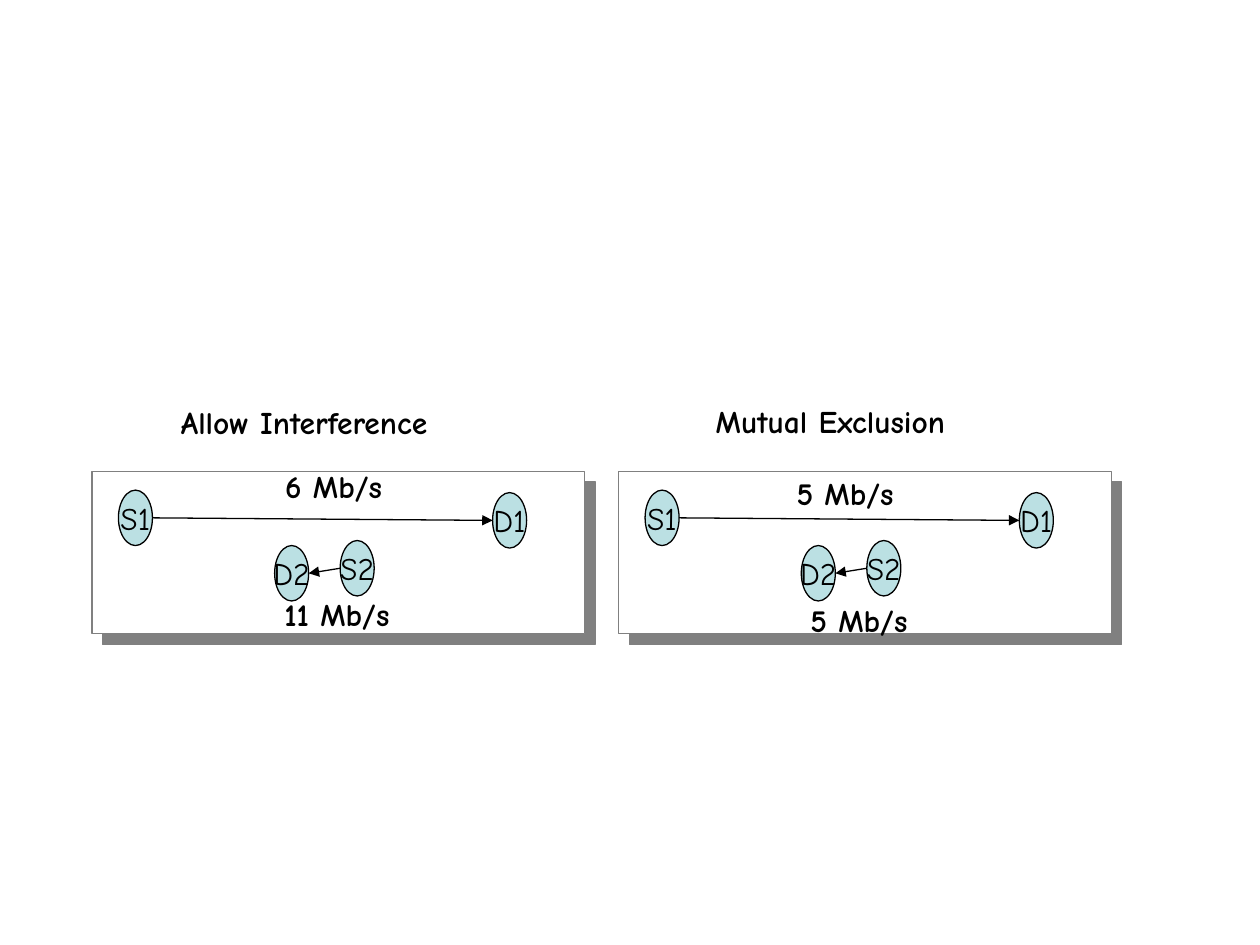
from lxml import etree
from pptx import Presentation
from pptx import util as u
from pptx.dml.color import RGBColor
from pptx.enum import shapes, text
from pptx.oxml import parse_xml
from pptx.oxml.ns import nsdecls, qn

COLORS = {"panel": "FFFFFF", "border": "808080", "node": "BBE0E3", "ink": "000000"}
FONT = "Comic Neue"
PANEL_X, PANEL_Y, PANEL_W, PANEL_H = 0.73, 3.74, 3.91, 1.29
PITCH = 4.18  # distance from one panel to the next
NODE_W, NODE_H = 0.27, 0.44

prs = Presentation()
prs.slide_width, prs.slide_height = u.Inches(10), u.Inches(7.5)
s = prs.slides.add_slide(prs.slide_layouts[6])


def add_box(parent, kind, x, y, w, h, fill, line):
    sp = parent.shapes.add_shape(kind, *map(u.Inches, (x, y, w, h)))
    sp.shadow.inherit = False
    sp.fill.solid()
    sp.fill.fore_color.rgb = RGBColor.from_string(COLORS[fill])
    sp.line.color.rgb = RGBColor.from_string(COLORS[line])
    sp.line.width = u.Pt(0.75)
    return sp


def write(sp, words, align, bold=False):
    tf = sp.text_frame
    tf.word_wrap = False
    p = tf.paragraphs[0]
    p.text = words
    p.alignment = align
    p.font.name, p.font.size, p.font.bold = FONT, u.Pt(18), bold
    p.font.color.rgb = RGBColor.from_string(COLORS["ink"])
    return tf


# Node offsets from the panel's corner, then the links between nodes
nodes = {"D2": (1.45, 0.59), "S1": (0.21, 0.15), "D1": (3.18, 0.17), "S2": (1.97, 0.55)}
links = [("S1", "D1"), ("S2", "D2")]

for panel in range(2):
    left = PANEL_X + panel * PITCH
    grp = s.shapes.add_group_shape()

    # Panel with a hard shadow
    sp = add_box(grp, shapes.MSO_SHAPE.RECTANGLE, left, PANEL_Y, PANEL_W, PANEL_H,
                 "panel", "border")
    sp._element.spPr.find(qn("a:effectLst")).append(parse_xml(
        f'<a:outerShdw {nsdecls("a")} dist="{u.Pt(8.5)}" dir="2700000" algn="ctr" '
        f'rotWithShape="0"><a:srgbClr val="{COLORS["border"]}"/></a:outerShdw>'))

    # Senders and destinations
    for name, (dx, dy) in nodes.items():
        sp = add_box(grp, shapes.MSO_SHAPE.OVAL, left + dx, PANEL_Y + dy,
                     NODE_W, NODE_H, "node", "ink")
        tf = write(sp, name, text.PP_ALIGN.CENTER)
        tf.vertical_anchor = text.MSO_ANCHOR.MIDDLE

    # Arrows between the facing sides of the nodes
    for source, target in links:
        (x1, y1), (x2, y2) = nodes[source], nodes[target]
        if x1 < x2:
            x1 += NODE_W
        else:
            x2 += NODE_W
        ends = (left + x1, PANEL_Y + y1 + NODE_H / 2, left + x2, PANEL_Y + y2 + NODE_H / 2)
        cx = grp.shapes.add_connector(shapes.MSO_CONNECTOR.STRAIGHT, *map(u.Inches, ends))
        cx.line.color.rgb = RGBColor.from_string(COLORS["ink"])
        cx.line.width = u.Pt(0.75)
        etree.SubElement(cx.line._get_or_add_ln(), qn("a:tailEnd"), type="triangle")
        etree.SubElement(cx._element.spPr, qn("a:effectLst"))

# Headings and data rates, each box slightly wider than its words
labels = [
    ("Allow Interference", 1.3, 3.15, 2.19),
    ("Mutual Exclusion", 5.56, 3.14, 2.04),
    ("5 Mb/s", 6.2, 3.71, 0.99),
    ("5 Mb/s", 6.31, 4.72, 0.99),
    ("6 Mb/s", 2.14, 3.66, 0.99),
    ("11 Mb/s", 2.13, 4.67, 1.06),
]
for words, x, y, w in labels:
    sp = s.shapes.add_textbox(*map(u.Inches, (x, y, w, 0.4)))
    tf = write(sp, words, text.PP_ALIGN.RIGHT, bold=True)
    tf.auto_size = text.MSO_AUTO_SIZE.SHAPE_TO_FIT_TEXT

prs.save("out.pptx")
